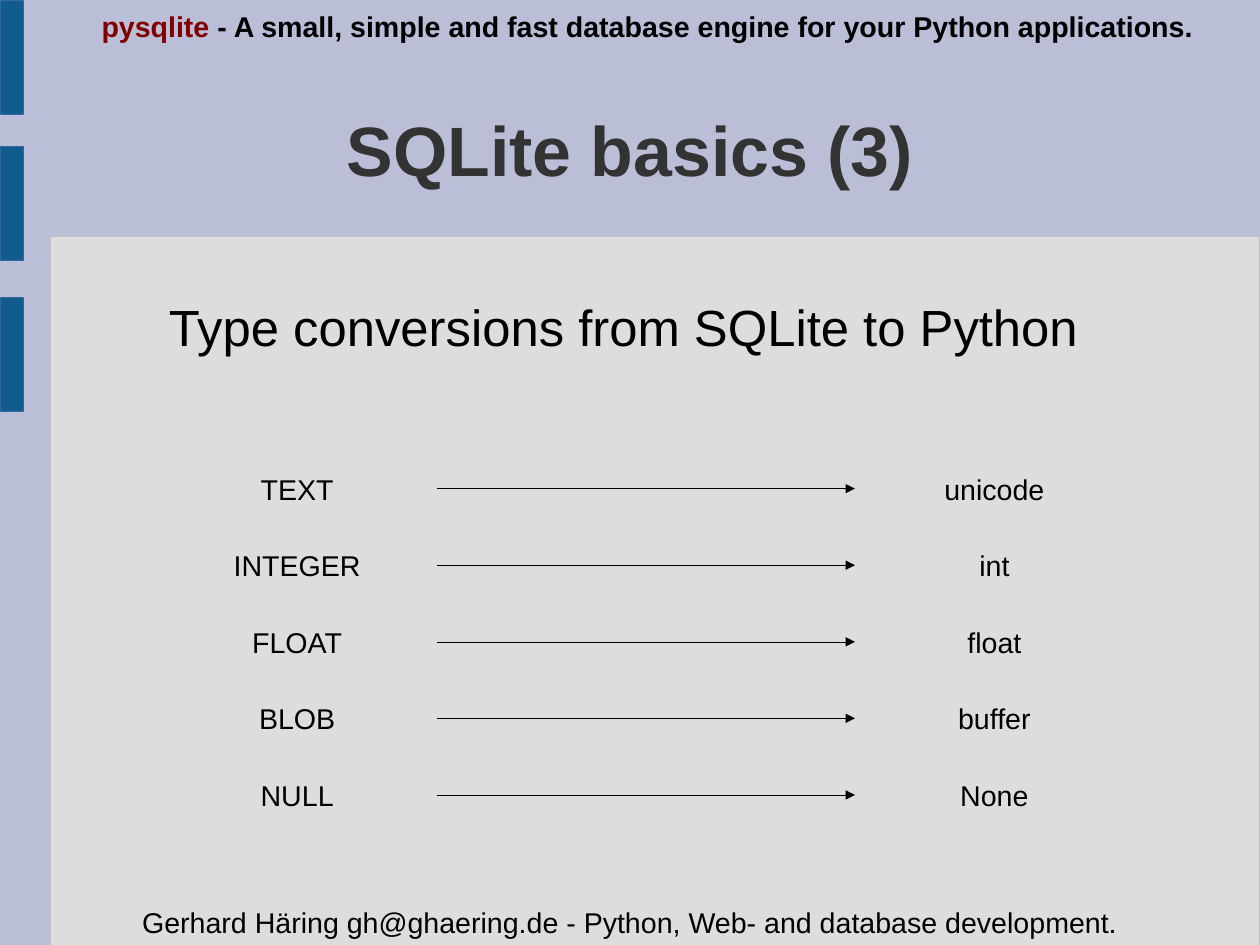
from lxml.etree import SubElement as Sub
from pptx import Presentation
from pptx.dml.color import RGBColor as RGB
from pptx.enum.shapes import MSO_CONNECTOR as LINK, MSO_SHAPE as SHAPE
from pptx.enum.text import MSO_ANCHOR as ANCHOR, PP_ALIGN as ALIGN
from pptx.oxml.ns import qn
from pptx.util import Inches, Pt

COLORS = {
    "back": "BABED6",
    "panel": "DDDDDD",
    "edge": "C0C0C0",
    "bar": "125C8D",
    "rim": "3465A4",
    "title": "333333",
    "name": "800000",
    "text": "000000",
}
TYPES = [
    ("TEXT", "unicode"),
    ("INTEGER", "int"),
    ("FLOAT", "float"),
    ("BLOB", "buffer"),
    ("NULL", "None"),
]
HAIR = Pt(0.25)


def color(name):
    """Return the named colour."""
    return RGB.from_string(COLORS[name])


def add_rect(slide, box, fill, line):
    """Draw a filled rectangle with a hairline edge."""
    rect = slide.shapes.add_shape(SHAPE.RECTANGLE, *map(Inches, box))
    rect.shadow.inherit = False
    rect.fill.solid()
    rect.fill.fore_color.rgb = color(fill)
    rect.line.color.rgb = color(line)
    rect.line.width = HAIR


def set_text(shape, runs, size, bold=False, align=ALIGN.CENTER, pad=(0, 0)):
    """Write one paragraph from pairs of text and colour."""
    frame = shape.text_frame
    frame.word_wrap = True
    frame.vertical_anchor = ANCHOR.MIDDLE
    frame.margin_left = frame.margin_right = Inches(pad[0])
    frame.margin_top = frame.margin_bottom = Inches(pad[1])
    para = frame.paragraphs[0]
    para.alignment = align
    for text, ink in runs:
        run = para.add_run()
        run.text = text
        run.font.name = "Arial"
        run.font.size = Pt(size)
        run.font.bold = bold
        run.font.color.rgb = color(ink)


def add_text(slide, box, runs, size, **style):
    """Place a text box."""
    shape = slide.shapes.add_textbox(*map(Inches, box))
    set_text(shape, runs, size, **style)


def add_title(slide, box, text):
    """Move and fill the title placeholder."""
    title = slide.shapes.title
    title.left, title.top, title.width, title.height = map(Inches, box)
    set_text(title, [(text, "title")], 44, bold=True)


def add_arrow(slide, start, end, y):
    """Draw a level arrow from start to end."""
    ends = map(Inches, (start, y, end, y))
    arrow = slide.shapes.add_connector(LINK.STRAIGHT, *ends)
    arrow.line.color.rgb = color("text")
    arrow.line.width = HAIR
    Sub(arrow.line._get_or_add_ln(), qn("a:tailEnd"), type="triangle")
    Sub(arrow._element.spPr, qn("a:effectLst"))


def add_types(slide):
    """Lay out the rows of type conversions."""
    left, right, width, top, step = 1.38, 7.48, 2.44, 3.94, 0.67
    for row, pair in enumerate(TYPES):
        y = top + row * step
        for x, word in zip((left, right), pair):
            add_text(slide, (x, y, width, step), [(word, "text")], 18,
                     pad=(0.1, 0.05))
        add_arrow(slide, left + width, right, y + step / 2)


def main():
    """Build and save the slide."""
    deck = Presentation()
    deck.slide_width, deck.slide_height = Inches(28 / 2.54), Inches(21 / 2.54)
    slide = deck.slides.add_slide(deck.slide_layouts[5])
    slide.background.fill.solid()
    slide.background.fill.fore_color.rgb = color("back")

    add_rect(slide, (0.44, 2.07, 10.58, 6.2), "panel", "edge")
    for y in (0, 1.28, 2.6):
        add_rect(slide, (0, y, 0.2, 1), "bar", "rim")

    pitch = " - A small, simple and fast database engine for your Python applications."
    add_text(slide, (0.35, 0.03, 10.63, 0.39),
             [("pysqlite", "name"), (pitch, "text")], 18, bold=True)
    author = "Gerhard Häring gh@ghaering.de - Python, Web- and database development."
    add_text(slide, (0.98, 7.87, 9.06, 0.39), [(author, "text")], 18)

    add_title(slide, (0.81, 0.61, 9.41, 1.38), "SQLite basics (3)")
    add_text(slide, (1.38, 2.55, 8.46, 0.6),
             [("Type conversions from SQLite to Python", "text")], 32,
             align=ALIGN.LEFT, pad=(0.1, 0.05))
    add_types(slide)
    deck.save("out.pptx")


if __name__ == "__main__":
    main()
